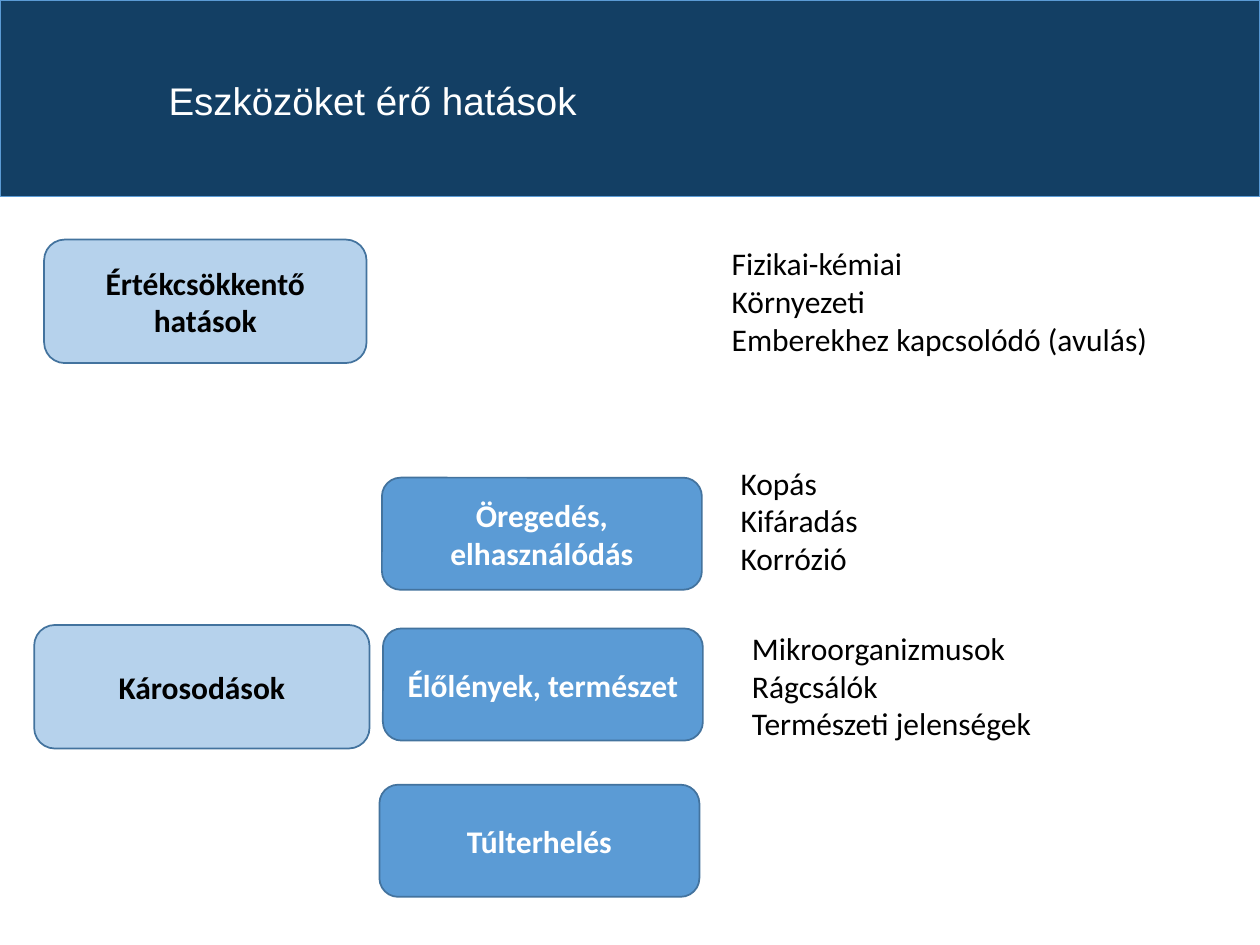
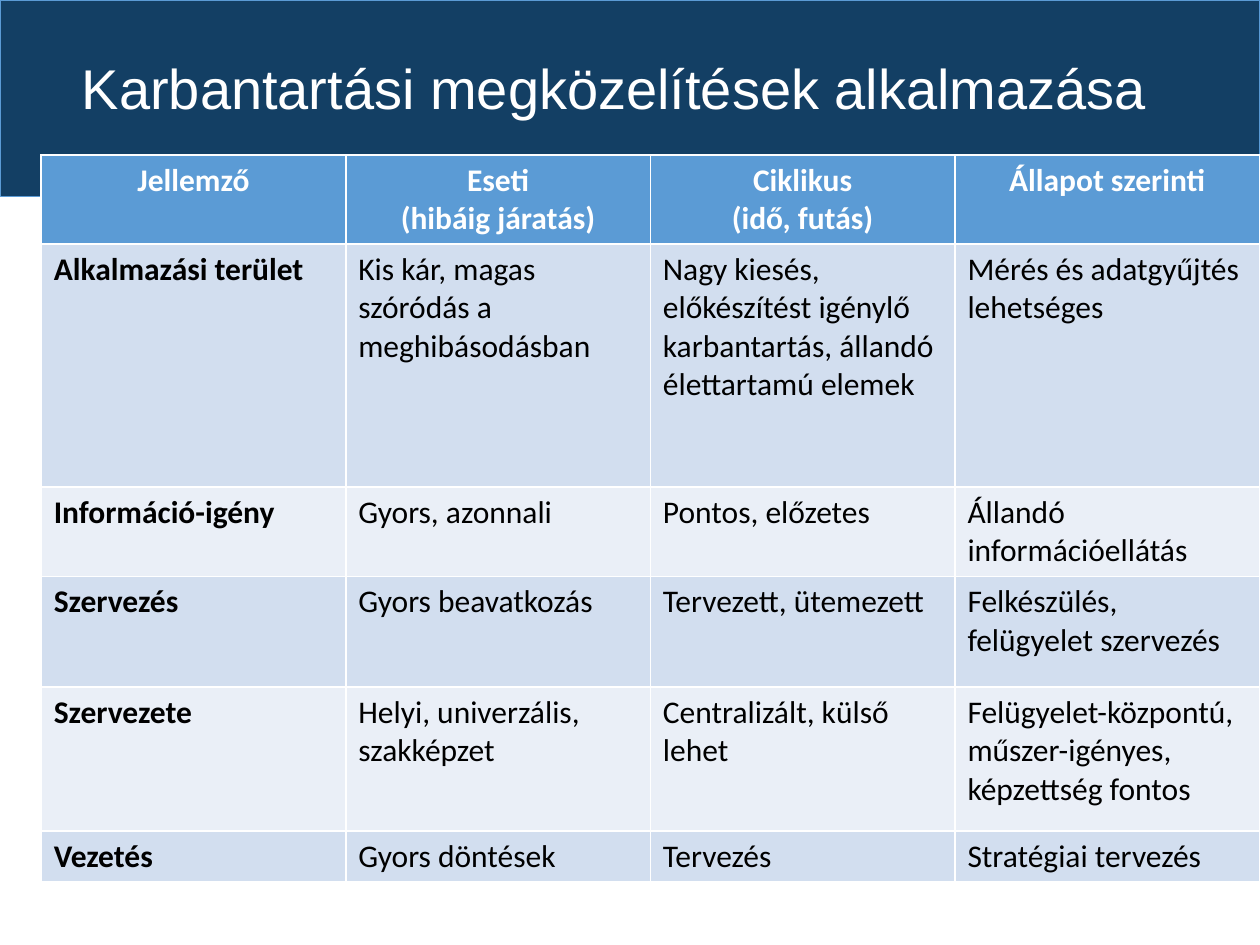
"""Build two slides on wear effects and maintenance approaches."""
from lxml.etree import SubElement
from pptx import Presentation
from pptx.dml.color import RGBColor as RGB
from pptx.enum.shapes import MSO_SHAPE as SHAPE
from pptx.enum.text import MSO_ANCHOR as ANCHOR, PP_ALIGN as ALIGN
from pptx.oxml.ns import qn
from pptx.util import Cm, Pt

NAVY = RGB(0x13, 0x3F, 0x64)
BLUE = RGB(0x5B, 0x9B, 0xD5)
EDGE = RGB(0x43, 0x73, 0x9E)
SKY = RGB(0x9D, 0xC3, 0xE6)
PALE = RGB(0xD2, 0xDE, 0xEF)
MIST = RGB(0xEA, 0xEF, 0xF7)
WHITE = RGB(0xFF, 0xFF, 0xFF)
BLACK = RGB(0, 0, 0)

BODY = {"name": "Calibri", "size": Pt(18), "bold": False}
BOLD = {**BODY, "bold": True}
HEAD = {"name": "Arial", "bold": False}


def write(frame, text, form, ink, align=ALIGN.LEFT):
    frame.word_wrap = True
    frame.text = text
    for para in frame.paragraphs:
        para.alignment = align
        for run in para.runs:
            run.font.color.rgb = ink
            for key, val in form.items():
                setattr(run.font, key, val)


def draw(slide, kind, place, fill, edge, width):
    shape = slide.shapes.add_shape(kind, *map(Cm, place))
    shape.shadow.inherit = False
    shape.fill.solid()
    shape.fill.fore_color.rgb = fill
    shape.line.color.rgb = edge
    shape.line.width = Pt(width)
    return shape


deck = Presentation()
deck.slide_width, deck.slide_height = Cm(25.4), Cm(19.05)

titles = [
    ("Eszközöket érő hatások", 22, (3.15, 1.02, 20.5, 2.13)),
    ("Karbantartási megközelítések alkalmazása", 32, (1.4, 0.84, 22.86, 2)),
]
slides = []
for text, size, place in titles:
    slide = deck.slides.add_slide(deck.slide_layouts[6])
    draw(slide, SHAPE.RECTANGLE, (0, 0, 25.4, 3.96), NAVY, BLUE, 0.5)
    frame = slide.shapes.add_textbox(*map(Cm, place)).text_frame
    write(frame, text, {**HEAD, "size": Pt(size)}, WHITE)
    frame.vertical_anchor = ANCHOR.MIDDLE
    frame.paragraphs[0].line_spacing = 0.9
    slides.append(slide)
effects, methods = slides

boxes = [
    ("Értékcsökkentő hatások", (0.89, 4.83, 6.5, 2.49), SKY, BLACK),
    ("Károsodások", (0.69, 12.6, 6.76, 2.49), SKY, BLACK),
    ("Öregedés, elhasználódás", (7.7, 9.63, 6.45, 2.26), BLUE, WHITE),
    ("Élőlények, természet", (7.72, 12.67, 6.45, 2.26), BLUE, WHITE),
    ("Túlterhelés", (7.65, 15.82, 6.45, 2.26), BLUE, WHITE),
]
for text, place, fill, ink in boxes:
    box = draw(effects, SHAPE.ROUNDED_RECTANGLE, place, fill, EDGE, 1)
    write(box.text_frame, text, BOLD, ink, ALIGN.CENTER)
    box.text_frame.vertical_anchor = ANCHOR.MIDDLE
    if fill == SKY:
        tint = box.fill._xPr.find(qn("a:solidFill"))[0]
        SubElement(tint, qn("a:alpha"), val="74000")

lists = [
    ("Fizikai-kémiai\nKörnyezeti\nEmberekhez kapcsolódó (avulás)", 14.5, 4.8, 11.28),
    ("Kopás\nKifáradás\nKorrózió", 14.68, 9.22, 9.22),
    ("Mikroorganizmusok\nRágcsálók\nTermészeti jelenségek", 14.91, 12.55, 9.22),
]
for text, left, top, width in lists:
    area = effects.shapes.add_textbox(Cm(left), Cm(top), Cm(width), Cm(2.57))
    write(area.text_frame, text, BODY, BLACK)

rows = [
    (1.8, "Jellemző", "Eseti\n(hibáig járatás)", "Ciklikus\n(idő, futás)",
     "Állapot szerinti"),
    (4.9, "Alkalmazási terület", "Kis kár, magas szóródás a meghibásodásban",
     "Nagy kiesés, előkészítést igénylő karbantartás, állandó élettartamú elemek",
     "Mérés és adatgyűjtés lehetséges"),
    (1.8, "Információ-igény", "Gyors, azonnali", "Pontos, előzetes",
     "Állandó információellátás"),
    (2.23, "Szervezés", "Gyors beavatkozás", "Tervezett, ütemezett",
     "Felkészülés, felügyelet szervezés"),
    (2.9, "Szervezete", "Helyi, univerzális, szakképzet",
     "Centralizált, külső lehet",
     "Felügyelet-központú, műszer-igényes, képzettség fontos"),
    (1.03, "Vezetés", "Gyors döntések", "Tervezés", "Stratégiai tervezés"),
]
high = sum(row[0] for row in rows)
grid = methods.shapes.add_table(
    len(rows), 4, Cm(0.83), Cm(3.12), Cm(24.57), Cm(high)).table
for col in grid.columns:
    col.width = Cm(6.14)
for r, (tall, *texts) in enumerate(rows):
    grid.rows[r].height = Cm(tall)
    for c, text in enumerate(texts):
        cell = grid.cell(r, c)
        cell.fill.solid()
        if r == 0:
            cell.fill.fore_color.rgb = BLUE
            write(cell.text_frame, text, BOLD, WHITE, ALIGN.CENTER)
        else:
            cell.fill.fore_color.rgb = PALE if r % 2 else MIST
            write(cell.text_frame, text, BODY if c else BOLD, BLACK)

deck.save("out.pptx")
